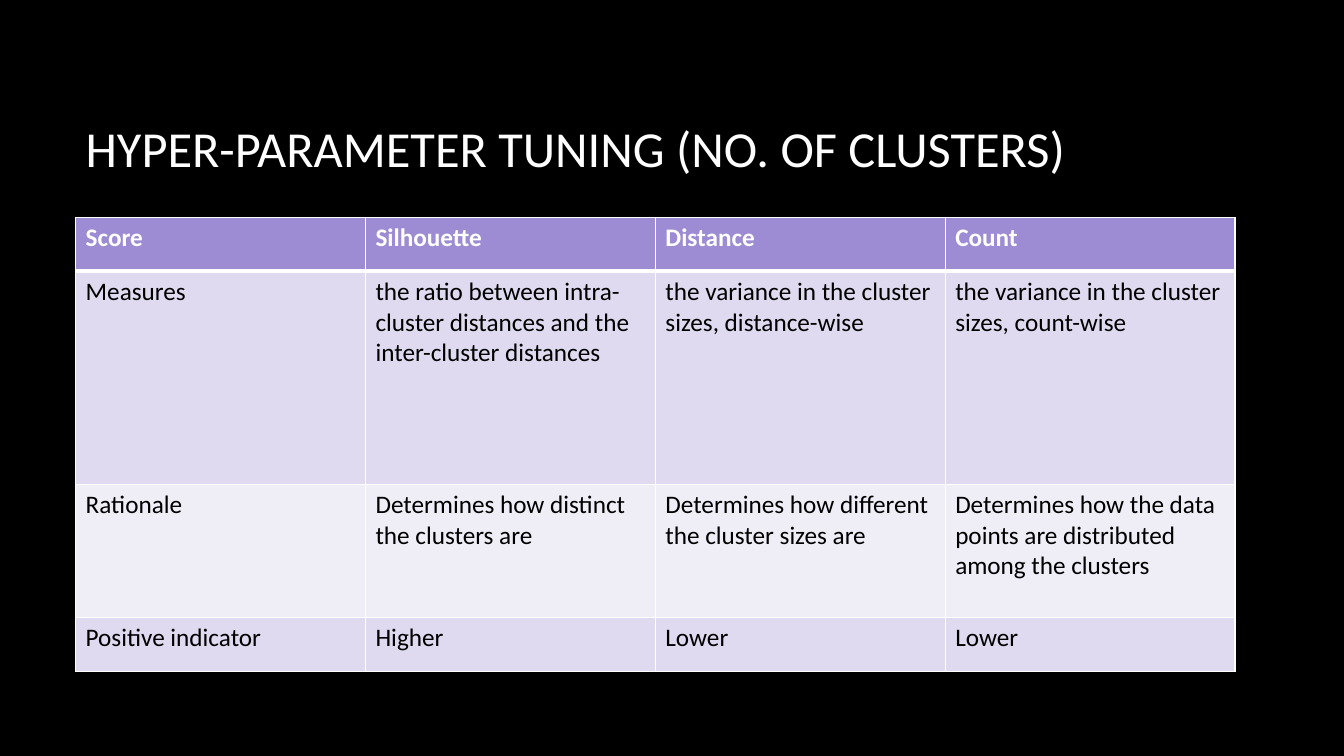
from lxml import etree
from pptx import Presentation
from pptx.dml.color import RGBColor
from pptx.enum.text import MSO_ANCHOR, PP_ALIGN
from pptx.oxml.ns import qn
from pptx.util import Inches, Pt

MIDDLE = MSO_ANCHOR.MIDDLE
LEFT = PP_ALIGN.LEFT
FONT = "Calibri"
COLORS = {
    "background": "000000",
    "title": "FFFFFF",
    "border": "FFFFFF",
    "header": "9D8CD3",
    "header_text": "FFFFFF",
    "odd_row": "DFDAEF",
    "even_row": "EFEEF7",
    "body_text": "000000",
}
SCORES = [
    ["Score", "Silhouette", "Distance", "Count"],
    ["Measures",
     "the ratio between intra-cluster distances and the inter-cluster distances",
     "the variance in the cluster sizes, distance-wise",
     "the variance in the cluster sizes, count-wise"],
    ["Rationale",
     "Determines how distinct the clusters are",
     "Determines how different the cluster sizes are",
     "Determines how the data points are distributed among the clusters"],
    ["Positive indicator", "Higher", "Lower", "Lower"],
]
ROW_HEIGHTS = [0.53, 2.11, 1.32, 0.53]


def rgb(name):
    """Return the named colour."""
    return RGBColor.from_string(COLORS[name])


def write(frame, text, size, color, bold=False):
    """Put one left-aligned run into a text frame."""
    paragraph = frame.paragraphs[0]
    paragraph.alignment = LEFT
    run = paragraph.add_run()
    run.text = text
    run.font.name = FONT
    run.font.size = Pt(size)
    run.font.bold = bold
    run.font.color.rgb = rgb(color)


def set_borders(cell, top, bottom):
    """Draw the four cell borders, with top and bottom widths in points."""
    properties = cell._tc.get_or_add_tcPr()
    for side, width in (("L", 1), ("R", 1), ("T", top), ("B", bottom)):
        line = etree.SubElement(properties, qn(f"a:ln{side}"), w=str(int(Pt(width))))
        fill = etree.SubElement(line, qn("a:solidFill"))
        etree.SubElement(fill, qn("a:srgbClr"), val=COLORS["border"])


def add_title(slide, left, top, width, height):
    """Add the slide title, centred vertically in its box."""
    title = slide.shapes.add_textbox(
        Inches(left), Inches(top), Inches(width), Inches(height))
    frame = title.text_frame
    frame.word_wrap = True
    frame.vertical_anchor = MIDDLE
    write(frame, "HYPER-PARAMETER TUNING (NO. OF CLUSTERS)", 36, "title")


def add_score_table(slide, left, top, width, height):
    """Add the score comparison with a header and banded rows."""
    columns = len(SCORES[0])
    table = slide.shapes.add_table(
        len(SCORES), columns,
        Inches(left), Inches(top), Inches(width), Inches(height)).table
    for column in table.columns:
        column.width = Inches(width / columns)
    for row, share in zip(table.rows, ROW_HEIGHTS):
        row.height = Inches(height * share / sum(ROW_HEIGHTS))
    for r, entries in enumerate(SCORES):
        is_header = r == 0
        band = "header" if is_header else "odd_row" if r % 2 else "even_row"
        for c, entry in enumerate(entries):
            cell = table.cell(r, c)
            set_borders(cell, 3 if r == 1 else 1, 3 if is_header else 1)
            cell.fill.solid()
            cell.fill.fore_color.rgb = rgb(band)
            write(cell.text_frame, entry, 18,
                  "header_text" if is_header else "body_text", is_header)


def build_tuning_slide(presentation):
    """Build the hyper-parameter tuning slide."""
    slide = presentation.slides.add_slide(presentation.slide_layouts[6])
    background = slide.background.fill
    background.solid()
    background.fore_color.rgb = rgb("background")
    add_title(slide, 0.75, 0.67, 11.08, 1.59)
    add_score_table(slide, 0.75, 2.16, 11.5, 4.5)


presentation = Presentation()
presentation.slide_width = Inches(13.33)
presentation.slide_height = Inches(7.5)
build_tuning_slide(presentation)
presentation.save("out.pptx")
